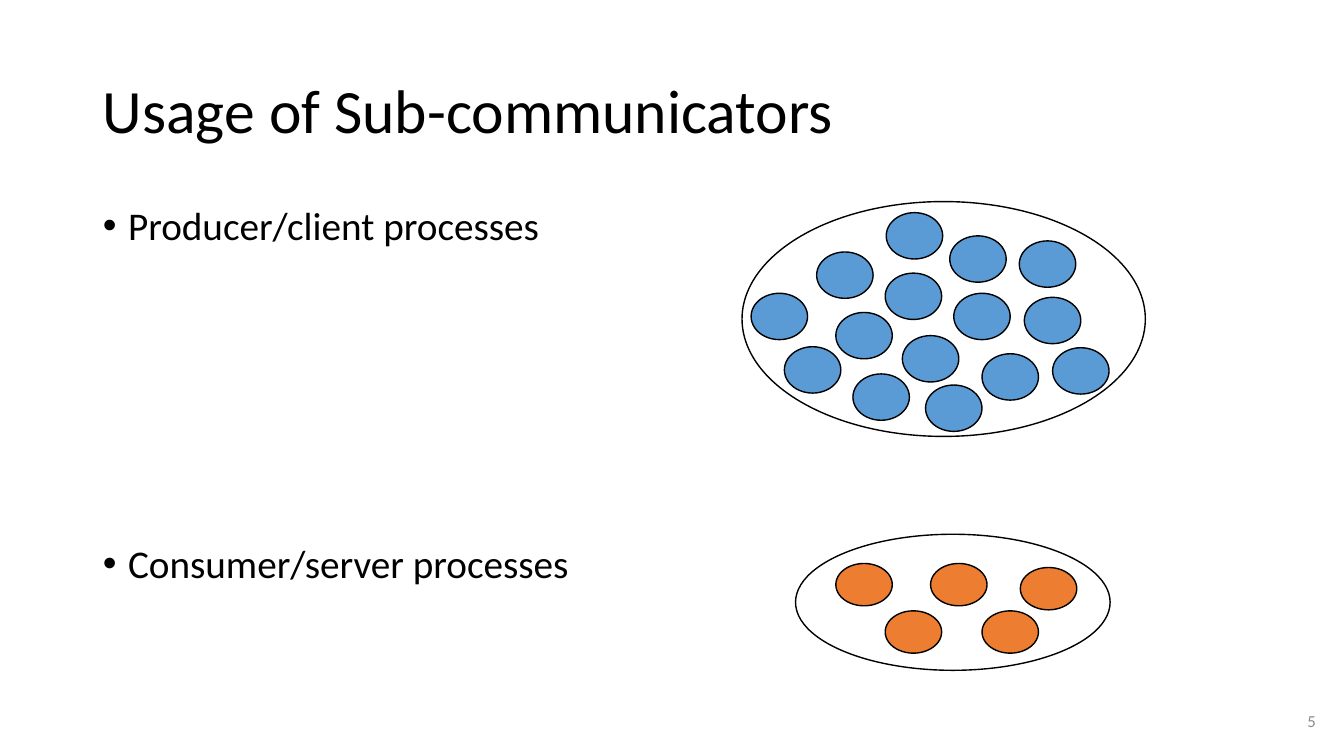
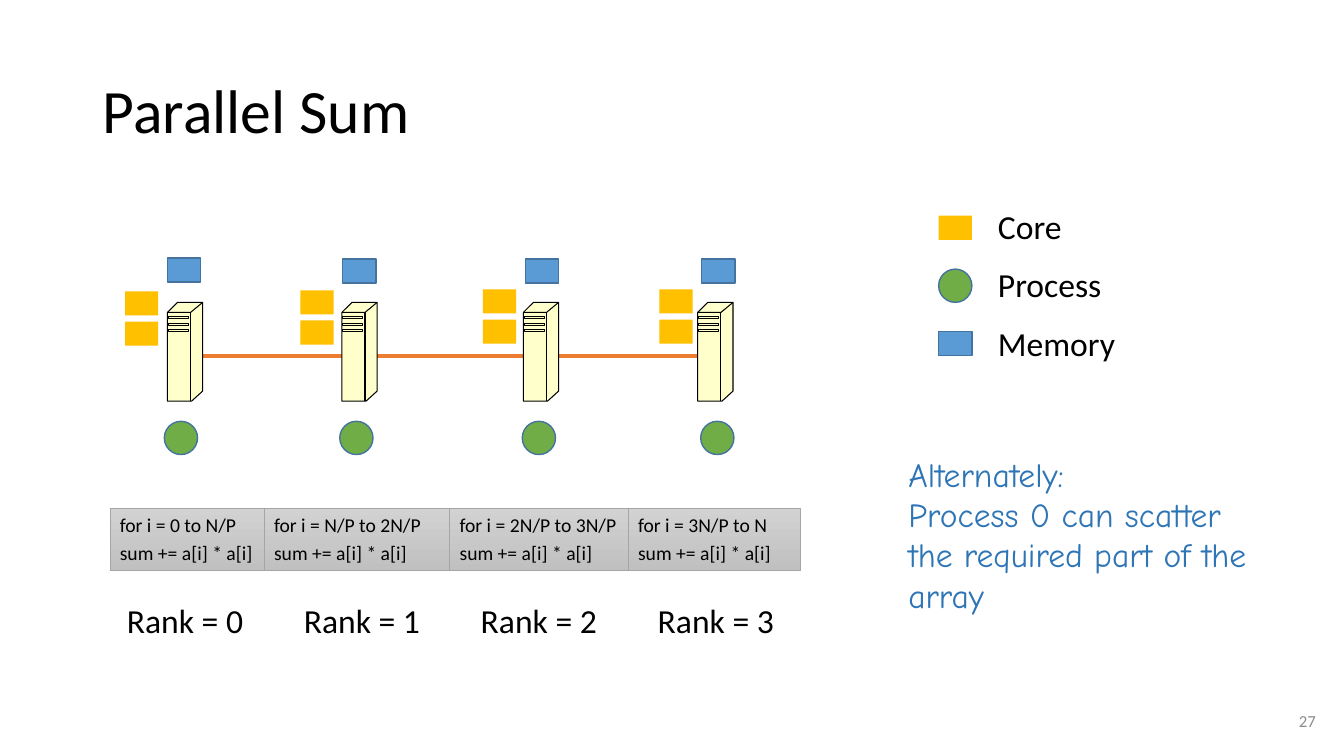
import pptx
import pptx.util
import pptx.dml.color
import pptx.enum.shapes
import pptx.enum.text
import lxml.etree

Inches = pptx.util.Inches
Pt = pptx.util.Pt
rgb = pptx.dml.color.RGBColor.from_string
ANCHOR = pptx.enum.text.MSO_ANCHOR
ALIGN = pptx.enum.text.PP_ALIGN
OVAL = pptx.enum.shapes.MSO_SHAPE.OVAL
RECT = pptx.enum.shapes.MSO_SHAPE.RECTANGLE

BLACK, WHITE, GRAY = "000000", "FFFFFF", "8C8C8C"
BLUE, ORANGE, GREEN, GOLD = "5B9BD5", "ED7D31", "70AD47", "FFC000"
EDGE, CREAM, NOTE = "43739E", "FFFFCC", "2E75B6"

TITLE = {"alignment": ALIGN.LEFT, "line_spacing": 0.9}
BULLET = {"alignment": ALIGN.LEFT, "line_spacing": 0.9, "space_before": Pt(10)}
PLAIN = {"alignment": ALIGN.LEFT}
CODE = {"alignment": ALIGN.LEFT, "space_before": Pt(2.8)}
NUMBER = {"alignment": ALIGN.RIGHT}


def paint(sp, fill, line=None, width=1):
    sp.shadow.inherit = False
    if fill:
        sp.fill.solid()
        sp.fill.fore_color.rgb = rgb(fill)
    else:
        sp.fill.background()
    if line:
        sp.line.color.rgb = rgb(line)
        sp.line.width = Pt(width)
    else:
        sp.line.fill.background()


def write(sp, lines, fmt, size, color=BLACK, name="Calibri", anchor=ANCHOR.TOP, hang=0):
    tf = sp.text_frame
    frame = {"word_wrap": True, "auto_size": pptx.enum.text.MSO_AUTO_SIZE.NONE,
             "vertical_anchor": anchor}
    for key, value in frame.items():
        setattr(tf, key, value)
    for i, line in enumerate(lines):
        p = tf.paragraphs[0] if i == 0 else tf.add_paragraph()
        for key, value in fmt.items():
            setattr(p, key, value)
        if hang:
            pPr = p._p.get_or_add_pPr()
            pPr.set("marL", str(Inches(hang)))
            pPr.set("indent", str(-Inches(hang)))
        r = p.add_run()
        r.text = line
        for key, value in {"size": Pt(size), "name": name}.items():
            setattr(r.font, key, value)
        r.font.color.rgb = rgb(color)


prs = pptx.Presentation()
prs.slide_width, prs.slide_height = Inches(13.33), Inches(7.5)

slides = []
for layout, title, number in [(1, "Usage of Sub-communicators", "5"), (5, "Parallel Sum", "27")]:
    s = prs.slides.add_slide(prs.slide_layouts[layout])
    sp = s.shapes.title
    sp.left, sp.top, sp.width, sp.height = map(Inches, (0.92, 0.4, 11.5, 1.45))
    write(sp, [title], TITLE, 44, anchor=ANCHOR.MIDDLE)
    sp = s.shapes.add_textbox(*map(Inches, (9.42, 6.95, 3.73, 0.4)))
    write(sp, [number], NUMBER, 12, GRAY, anchor=ANCHOR.MIDDLE)
    slides.append(s)

s = slides[0]
body = s.placeholders[1]
body.left, body.top, body.width, body.height = map(Inches, (0.92, 2, 5.07, 4.76))
write(body, ["Producer/client processes", "Consumer/server processes"], BULLET, 28, hang=0.25)
body.text_frame.paragraphs[1].space_before = Pt(211)

clients = [(7.45, 2.91), (8.1, 2.5), (8.29, 3.1), (8.95, 3.33), (8.78, 2.71),
           (8.79, 2.11), (9.42, 2.34), (9.46, 2.91), (10.16, 2.95), (10.11, 2.39),
           (7.78, 3.44), (9.74, 3.51), (8.46, 3.71), (9.18, 3.82), (10.44, 3.45)]
servers = [(8.29, 5.59), (9.23, 5.59), (10.12, 5.63), (8.78, 6.06), (9.74, 6.06)]
for box, dots, color, height in [((7.36, 2, 4, 2.33), clients, BLUE, 0.46),
                                 ((7.89, 5.3, 3.12, 1.35), servers, ORANGE, 0.42)]:
    paint(s.shapes.add_shape(OVAL, *map(Inches, box)), WHITE, BLACK)
    for x, y in dots:
        dot = s.shapes.add_shape(OVAL, *map(Inches, (x, y, 0.56, height)))
        paint(dot, color, BLACK)

s = slides[1]
network = s.shapes.add_connector(pptx.enum.shapes.MSO_CONNECTOR.STRAIGHT,
                                 *map(Inches, (1.66, 3.53, 7.27, 3.53)))
network.line.color.rgb = rgb(ORANGE)
network.line.width = Pt(3)
lxml.etree.SubElement(network._element.spPr, pptx.oxml.ns.qn("a:effectLst"))

case = [[(0, 0.1), (0.1, 0), (0.35, 0), (0.35, 0.88), (0.24, 0.98), (0, 0.98), (0, 0.1)]]
details = [[(0, 0.1), (0.23, 0.1), (0.35, 0)], [(0.23, 0.1), (0.23, 0.98)]]
for y in (0.14, 0.21, 0.27):
    details.append([(0.01, y), (0.21, y), (0.21, y + 0.02), (0.01, y + 0.02), (0.01, y)])

nodes = [(1.66, 1.66, 2.56, 1.63, 1.24, 2.89),
         (3.39, 3.4, 2.57, 3.37, 2.98, 2.88),
         (5.19, 5.21, 2.57, 5.18, 4.79, 2.87),
         (6.92, 6.96, 2.57, 6.95, 6.54, 2.87)]
for rank, (x, memory_x, memory_y, process_x, core_x, core_y) in enumerate(nodes):
    for contours, fill in [(case, CREAM), (details, None)]:
        pen = None
        for contour in contours:
            points = [(Inches(x + dx), Inches(3 + dy)) for dx, dy in contour]
            if pen is None:
                pen = s.shapes.build_freeform(*points[0])
            else:
                pen.move_to(*points[0])
            pen.add_line_segments(points[1:], close=contours is case)
        paint(pen.convert_to_shape(), fill, BLACK, 0.75)
    for kind, box, fill, line in [
            (RECT, (memory_x, memory_y, 0.33, 0.24), BLUE, EDGE),
            (OVAL, (process_x, 4.18, 0.33, 0.33), GREEN, EDGE),
            (RECT, (core_x, core_y, 0.33, 0.24), GOLD, None),
            (RECT, (core_x, core_y + 0.3, 0.33, 0.24), GOLD, None)]:
        paint(s.shapes.add_shape(kind, *map(Inches, box)), fill, line)
    label = s.shapes.add_textbox(*map(Inches, (1.16 + 1.755 * rank, 5.9, 1.5, 0.5)))
    write(label, [f"Rank = {rank}"], PLAIN, 24)

for kind, y, height, text_y, fill, line, text in [
        (RECT, 2.14, 0.24, 1.99, GOLD, None, "Core"),
        (OVAL, 2.67, 0.33, 2.57, GREEN, EDGE, "Process"),
        (RECT, 3.29, 0.24, 3.15, BLUE, EDGE, "Memory")]:
    paint(s.shapes.add_shape(kind, *map(Inches, (9.31, y, 0.33, height))), fill, line)
    label = s.shapes.add_textbox(*map(Inches, (9.8, text_y, 1.37, 0.5)))
    write(label, [text], PLAIN, 24)

for x, width, bounds in [(1.09, 1.54, "0 to N/P"), (2.62, 1.84, "N/P to 2N/P"),
                         (4.46, 1.82, "2N/P to 3N/P"), (6.23, 1.71, "3N/P to N")]:
    sp = s.shapes.add_shape(RECT, *map(Inches, (x, 5.04, width, 0.62)))
    paint(sp, None, "A5A5A5", 0.5)
    sp.fill.gradient()
    sp.fill.gradient_angle = 270
    for stop, color in zip(sp.fill.gradient_stops, ("D2D2D2", "C0C0C0")):
        stop.color.rgb = rgb(color)
    write(sp, [f"for i = {bounds}", "sum += a[i] * a[i]"], CODE, 14, hang=0.38)

note = s.shapes.add_textbox(*map(Inches, (8.91, 4.45, 3.61, 1.72)))
write(note, ["Alternately:", "Process 0 can scatter the required part of the array"],
      PLAIN, 24, NOTE, "Comic Neue")

prs.save("out.pptx")
